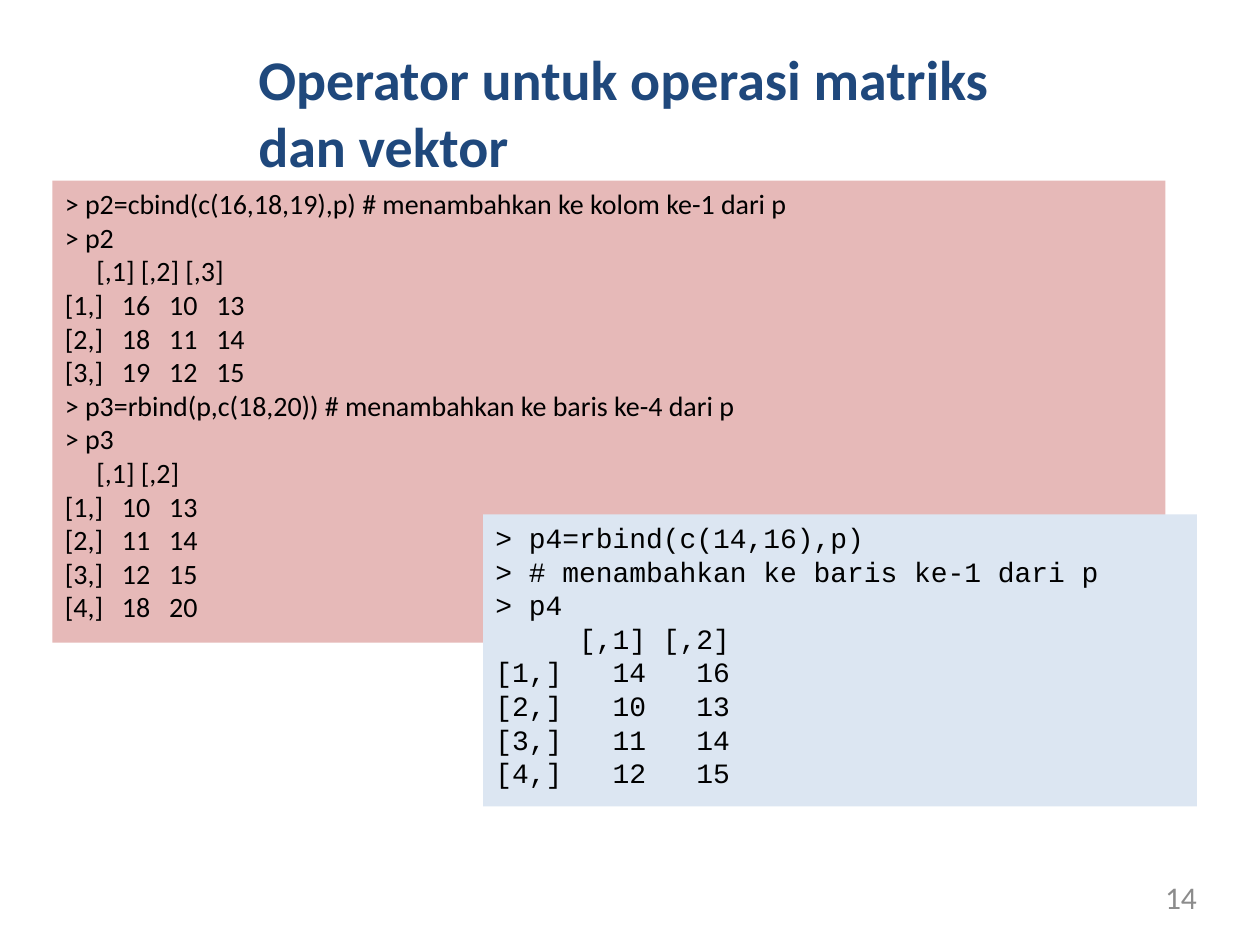
from dataclasses import dataclass
from typing import Optional

from pptx import Presentation
from pptx.dml.color import RGBColor
from pptx.enum.shapes import MSO_SHAPE as Shape
from pptx.enum.text import MSO_ANCHOR as Anchor, PP_ALIGN as Align
from pptx.util import Inches, Pt

COLUMNS, ROWS = 120, 90


@dataclass(frozen=True)
class Theme:
    body_font: str = "Calibri"
    code_font: str = "Courier New"
    title: str = "1F487C"
    number: str = "8C8C8C"
    code: str = "000000"
    pink: str = "E6B9B8"
    blue: str = "DCE6F2"
    title_size: int = 32
    number_size: int = 18
    code_size: int = 16


THEME = Theme()


@dataclass(frozen=True)
class Area:
    """Left, top, width and height in grid columns and rows."""
    column: float
    row: float
    columns: float
    rows: float


@dataclass(frozen=True)
class Style:
    font: str
    size: int
    color: str
    bold: bool = False
    align: Align = Align.LEFT


@dataclass(frozen=True)
class Block:
    area: Area
    text: str
    style: Style
    fill: Optional[str] = None


COLUMN_BIND = """\
> p2=cbind(c(16,18,19),p) # menambahkan ke kolom ke-1 dari p
> p2
     [,1] [,2] [,3]
[1,]   16   10   13
[2,]   18   11   14
[3,]   19   12   15
> p3=rbind(p,c(18,20)) # menambahkan ke baris ke-4 dari p
> p3
     [,1] [,2]
[1,]   10   13
[2,]   11   14
[3,]   12   15
[4,]   18   20"""

ROW_BIND = """\
> p4=rbind(c(14,16),p)
> # menambahkan ke baris ke-1 dari p
> p4
     [,1] [,2]
[1,]   14   16
[2,]   10   13
[3,]   11   14
[4,]   12   15"""

BLOCKS = [
    Block(Area(24.6, 4.2, 70.7, 13), "Operator untuk operasi matriks dan vektor",
          Style(THEME.body_font, THEME.title_size, THEME.title, bold=True)),
    Block(Area(86.4, 83.6, 27.6, 3.2), "14",
          Style(THEME.body_font, THEME.number_size, THEME.number, align=Align.RIGHT)),
    Block(Area(5, 17.2, 106, 44), COLUMN_BIND,
          Style(THEME.body_font, THEME.code_size, THEME.code), THEME.pink),
    Block(Area(46, 49, 68, 27.8), ROW_BIND,
          Style(THEME.code_font, THEME.code_size, THEME.code), THEME.blue),
]


def write_text(frame, text: str, style: Style) -> None:
    frame.word_wrap = True
    frame.vertical_anchor = Anchor.TOP
    for index, line in enumerate(text.splitlines()):
        paragraph = frame.add_paragraph() if index else frame.paragraphs[0]
        paragraph.alignment = style.align
        run = paragraph.add_run()
        run.text = line
        run.font.name = style.font
        run.font.size = Pt(style.size)
        run.font.bold = style.bold
        run.font.color.rgb = RGBColor.from_string(style.color)


def draw_block(presentation, slide, block: Block) -> None:
    """Draw a filled panel, or an unpadded text box when there is no fill."""
    cell_width = presentation.slide_width / COLUMNS
    cell_height = presentation.slide_height / ROWS
    area = block.area
    bounds = (round(area.column * cell_width), round(area.row * cell_height),
              round(area.columns * cell_width), round(area.rows * cell_height))
    if block.fill:
        shape = slide.shapes.add_shape(Shape.RECTANGLE, *bounds)
        shape.shadow.inherit = False
        shape.fill.solid()
        shape.fill.fore_color.rgb = RGBColor.from_string(block.fill)
        shape.line.fill.background()
    else:
        shape = slide.shapes.add_textbox(*bounds)
        frame = shape.text_frame
        frame.margin_left = frame.margin_right = 0
        frame.margin_top = frame.margin_bottom = 0
    write_text(shape.text_frame, block.text, block.style)


def main() -> None:
    presentation = Presentation()
    presentation.slide_width = Inches(10)
    presentation.slide_height = Inches(7.5)
    slide = presentation.slides.add_slide(presentation.slide_layouts[6])
    for block in BLOCKS:
        draw_block(presentation, slide, block)
    presentation.save("out.pptx")


if __name__ == "__main__":
    main()
